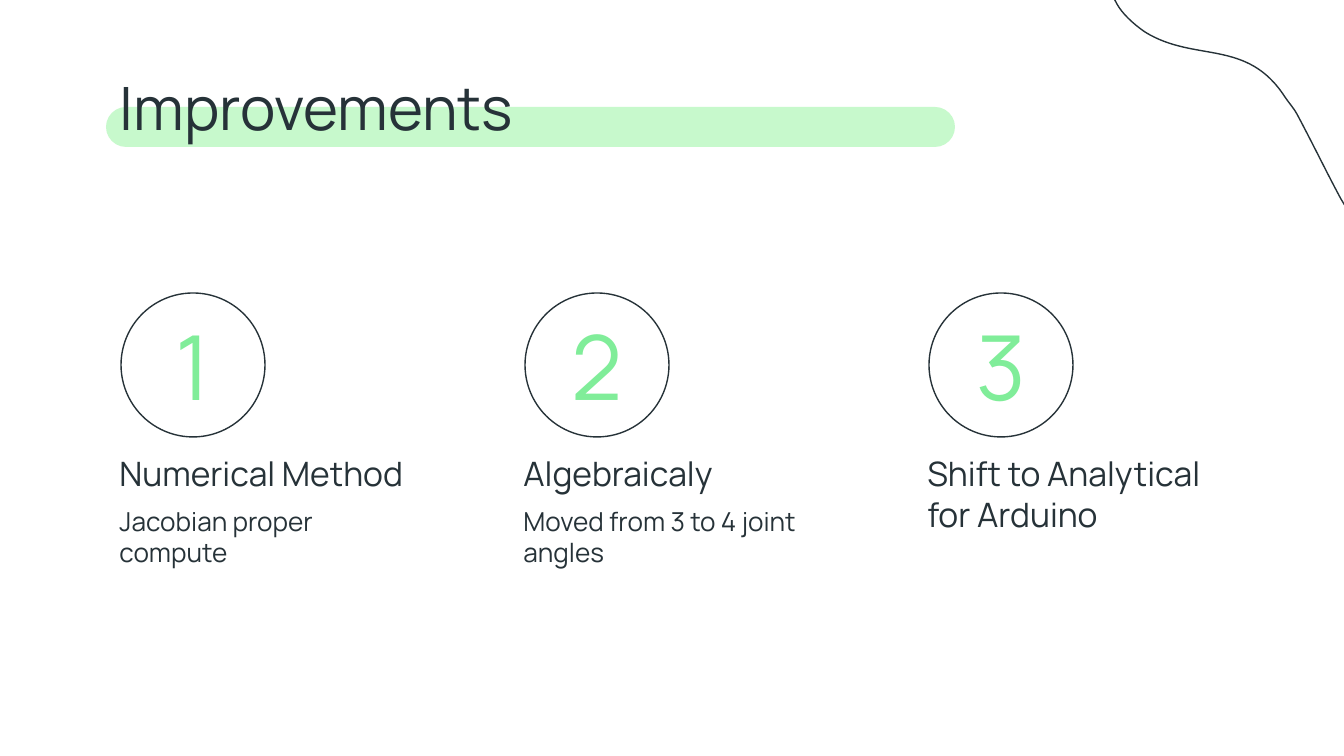
import pptx
import pptx.util
import pptx.dml.color
import pptx.enum.shapes
import pptx.enum.text
import pptx.oxml.ns
import lxml.etree

PX = 9144000 / 1344
INK, GREEN, PALE_GREEN = "263238", "80ED99", "C7F9CC"
ALIGN = pptx.enum.text.PP_ALIGN
ANCHOR = pptx.enum.text.MSO_ANCHOR
SHAPE = pptx.enum.shapes.MSO_SHAPE
qn = pptx.oxml.ns.qn


def color(value):
    return pptx.dml.color.RGBColor.from_string(value)


def write(holder, box, words, size, ink=INK, align=ALIGN.LEFT, anchor=ANCHOR.TOP, after=0):
    holder.left, holder.top, holder.width, holder.height = [round(v * PX) for v in box]
    frame = holder.text_frame
    frame.word_wrap = True
    frame.auto_size = pptx.enum.text.MSO_AUTO_SIZE.NONE
    frame.vertical_anchor = anchor
    frame.margin_left = frame.margin_right = pptx.util.Inches(0.1)
    frame.margin_top = frame.margin_bottom = pptx.util.Inches(0.1)
    paragraph = frame.paragraphs[0]
    properties = paragraph._p.get_or_add_pPr()
    properties.set("marL", "0")
    properties.set("indent", "0")
    lxml.etree.SubElement(properties, qn("a:buNone"))
    paragraph.alignment = align
    paragraph.space_before = pptx.util.Pt(0)
    paragraph.space_after = pptx.util.Pt(after)
    run = paragraph.add_run()
    run.text = words
    run.font.name = "Manrope"
    run.font.size = pptx.util.Pt(size)
    run.font.bold = False
    run.font.color.rgb = color(ink)


deck = pptx.Presentation()
deck.slide_width = round(1344 * PX)
deck.slide_height = round(756 * PX)
slide = deck.slides.add_slide(deck.slide_layouts.get_by_name("Comparison"))
shapes = slide.shapes
slide.background.fill.solid()
slide.background.fill.fore_color.rgb = color("FFFFFF")

# Title on its highlight bar
title = shapes.title
write(title, (106, 57, 1133, 90), "Improvements", 32)
bar = shapes.add_shape(SHAPE.ROUNDED_RECTANGLE, *[round(v * PX) for v in (106, 107, 849, 40)])
bar.adjustments[0] = 0.5
bar.fill.solid()
bar.fill.fore_color.rgb = color(PALE_GREEN)
bar.line.fill.background()
bar.shadow.inherit = False
title.element.addprevious(bar.element)

# Wavy outline in the corner: two control points and an end point per curve
wave_start = (1117, 4)
wave_curves = [
    ((1122, 13), (1132, 23), (1145, 32)),
    ((1195, 63), (1247, 38), (1285, 97)),
    ((1289, 103), (1293, 107), (1297, 114)),
    ((1313, 144), (1327, 173), (1341, 199)),
    ((1360, 231), (1382, 259), (1421, 284)),
    ((1486, 323), (1539, 308), (1587, 265)),
    ((1671, 191), (1667, 85), (1613, -9)),
    ((1590, -48), (1558, -86), (1519, -118)),
    ((1396, -216), (1249, -211), (1153, -117)),
    ((1124, -87), (1093, -38), (1117, 4)),
]
builder = shapes.build_freeform(*wave_start, scale=PX)
builder.add_line_segments([curve[-1] for curve in wave_curves], close=True)
wave = builder.convert_to_shape()
wave.fill.background()
wave.line.color.rgb = color(INK)
wave.line.width = pptx.util.Pt(0.75)
wave.shadow.inherit = False
title.element.addprevious(wave.element)

# Turn each straight segment of the wave into its curve
wave_path = next(wave.element.iter(qn("a:path")))
wave_path.set("w", str(wave.width))
wave_path.set("h", str(wave.height))
move_point = next(wave_path.iter(qn("a:pt")))
move_point.set("x", str(round(wave_start[0] * PX) - wave.left))
move_point.set("y", str(round(wave_start[1] * PX) - wave.top))
for segment, curve in zip(wave_path.findall(qn("a:lnTo")), wave_curves):
    bend = lxml.etree.Element(qn("a:cubicBezTo"))
    for x, y in curve:
        lxml.etree.SubElement(bend, qn("a:pt"), x=str(round(x * PX) - wave.left),
                              y=str(round(y * PX) - wave.top))
    wave_path.replace(segment, bend)

# Three numbered improvements
body = {holder.placeholder_format.idx: holder for holder in slide.placeholders}
improvements = [
    ("Numerical Method", 362, body[1], "Jacobian proper compute", body[2]),
    ("Algebraicaly", 324, body[3], "Moved from 3 to 4 joint angles", body[4]),
    ("Shift to Analytical for Arduino", 324, shapes.add_textbox(0, 0, 0, 0), None, None),
]
for index, (heading, width, heading_box, detail, detail_box) in enumerate(improvements):
    left = 106 + 404 * index
    circle = shapes.add_shape(SHAPE.OVAL, *[round(v * PX) for v in (left + 15, 293, 144, 144)])
    circle.fill.background()
    circle.line.color.rgb = color(INK)
    circle.line.width = pptx.util.Pt(0.75)
    circle.shadow.inherit = False

    write(shapes.add_textbox(0, 0, 0, 0), (left + 22, 313, 130, 104), str(index + 1), 48,
          GREEN, ALIGN.CENTER, ANCHOR.MIDDLE)
    write(heading_box, (left, 440, width, 55), heading, 18, after=16)
    if detail:
        write(detail_box, (left, 492, 324, 125), detail, 14, after=16)

deck.save("out.pptx")
